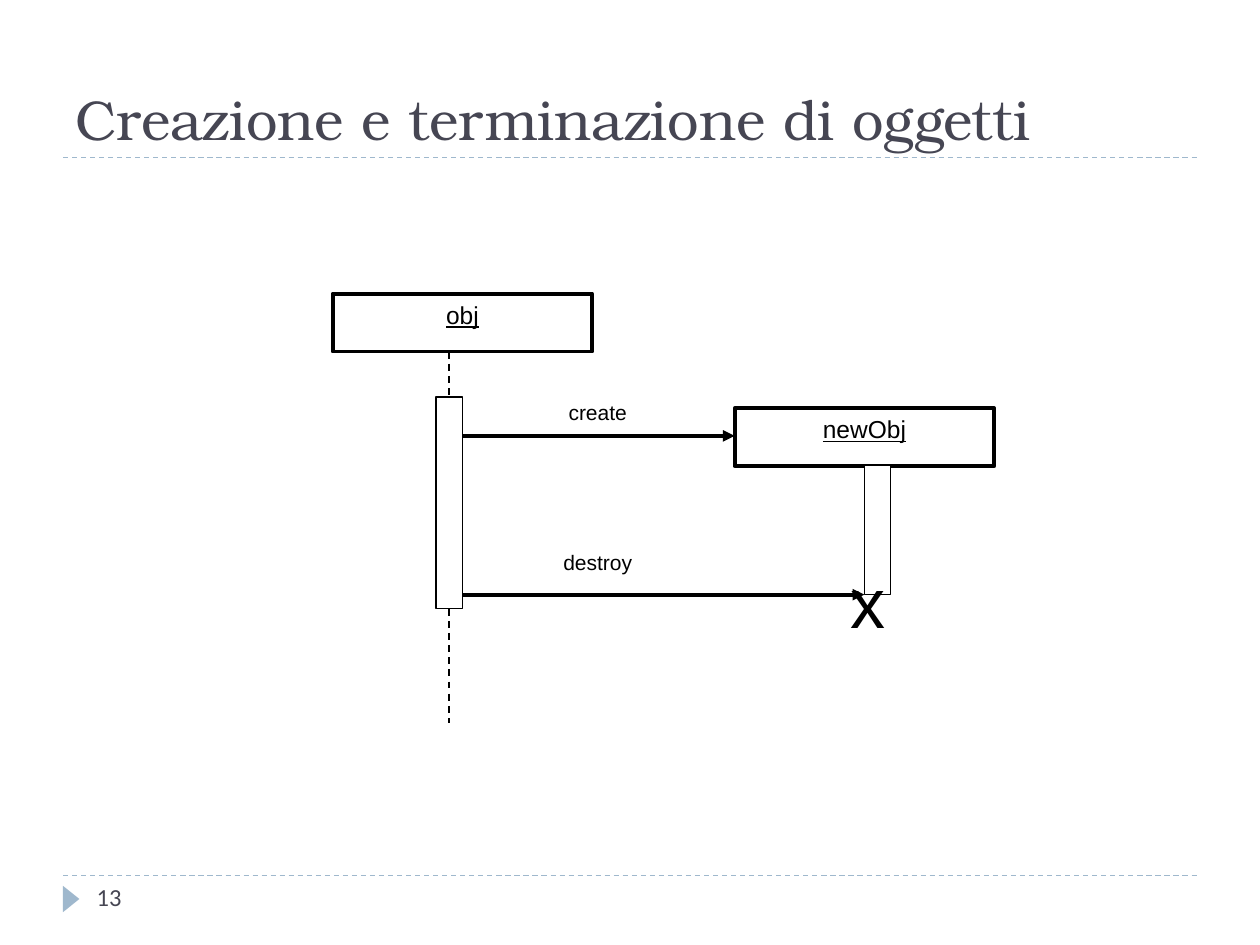
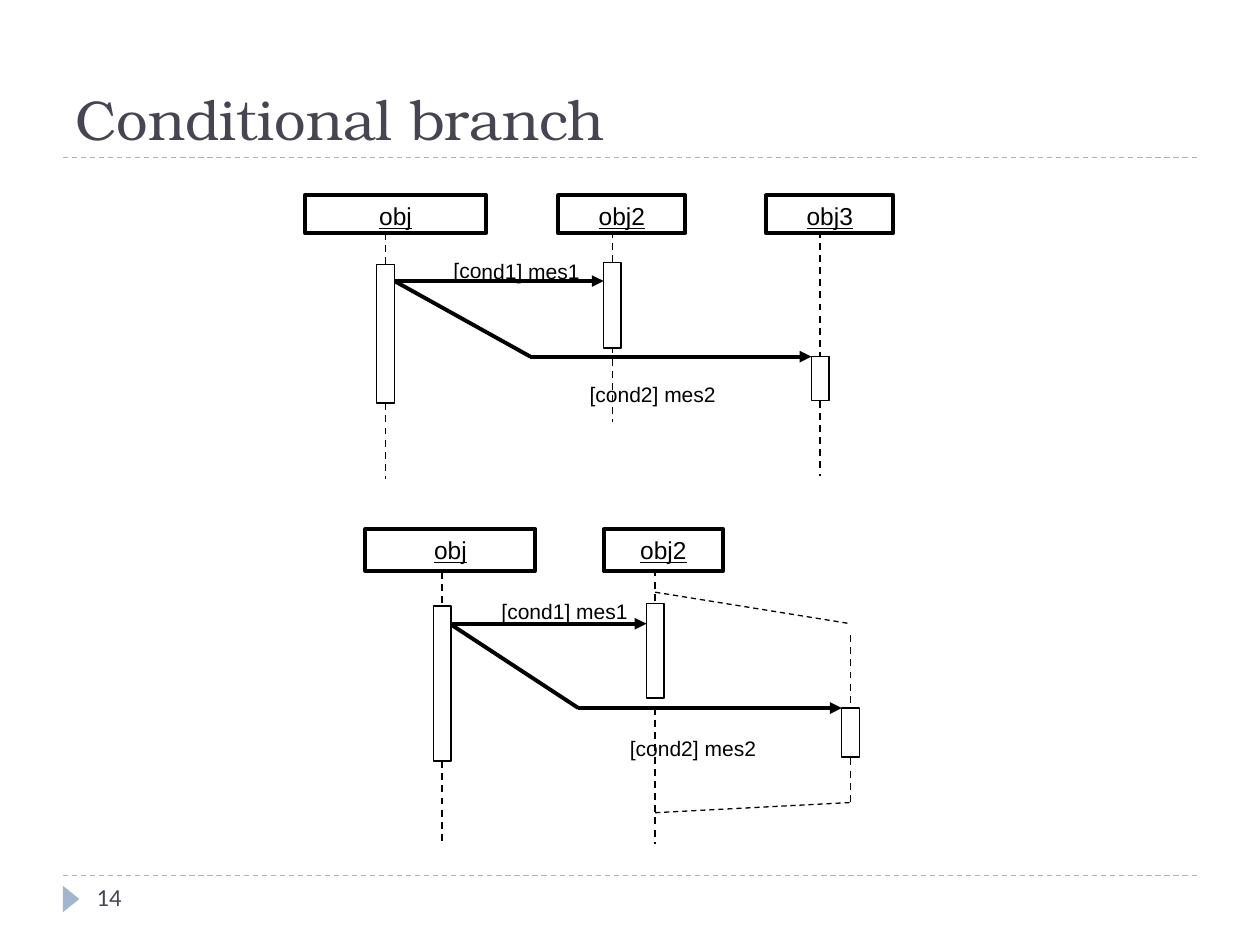
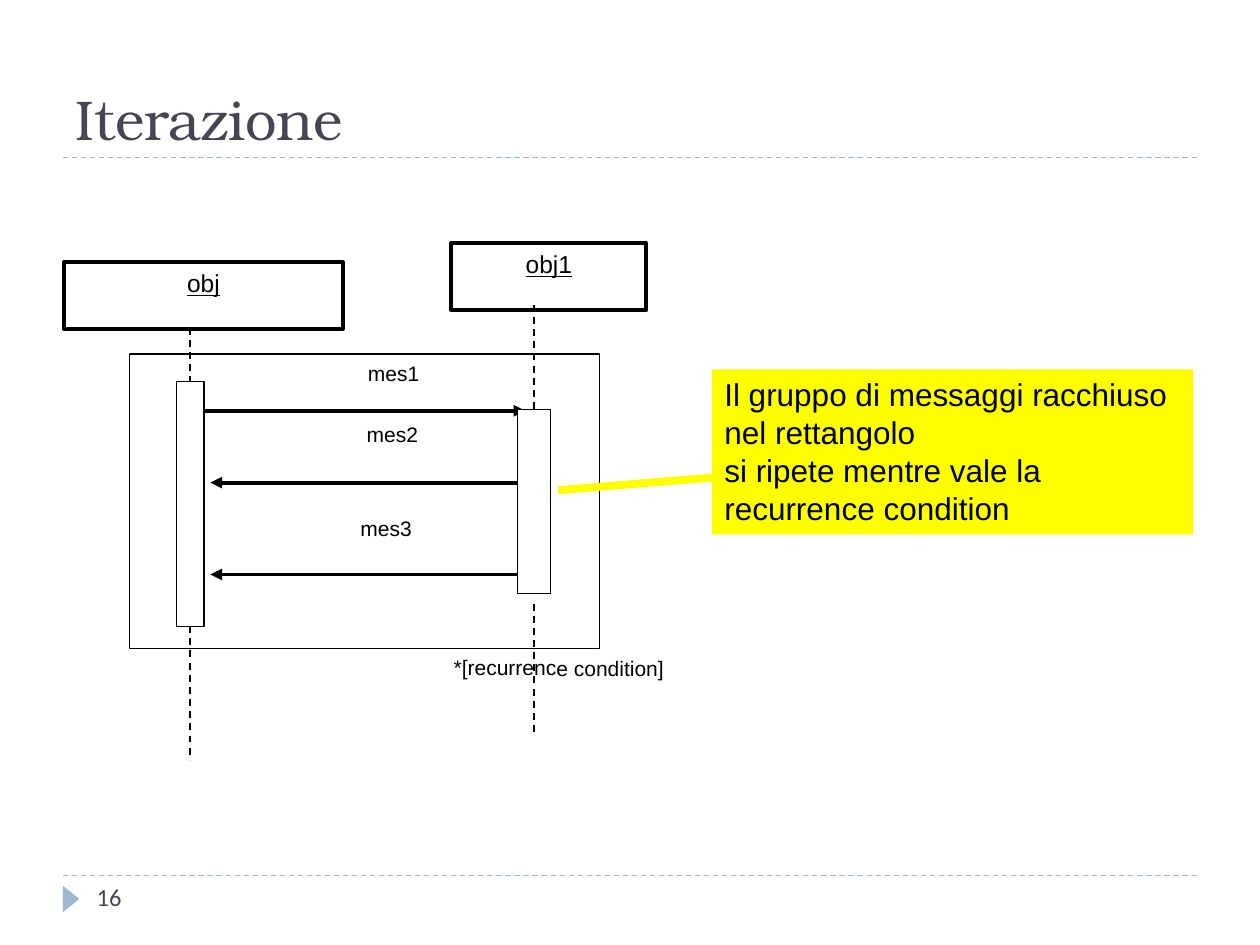
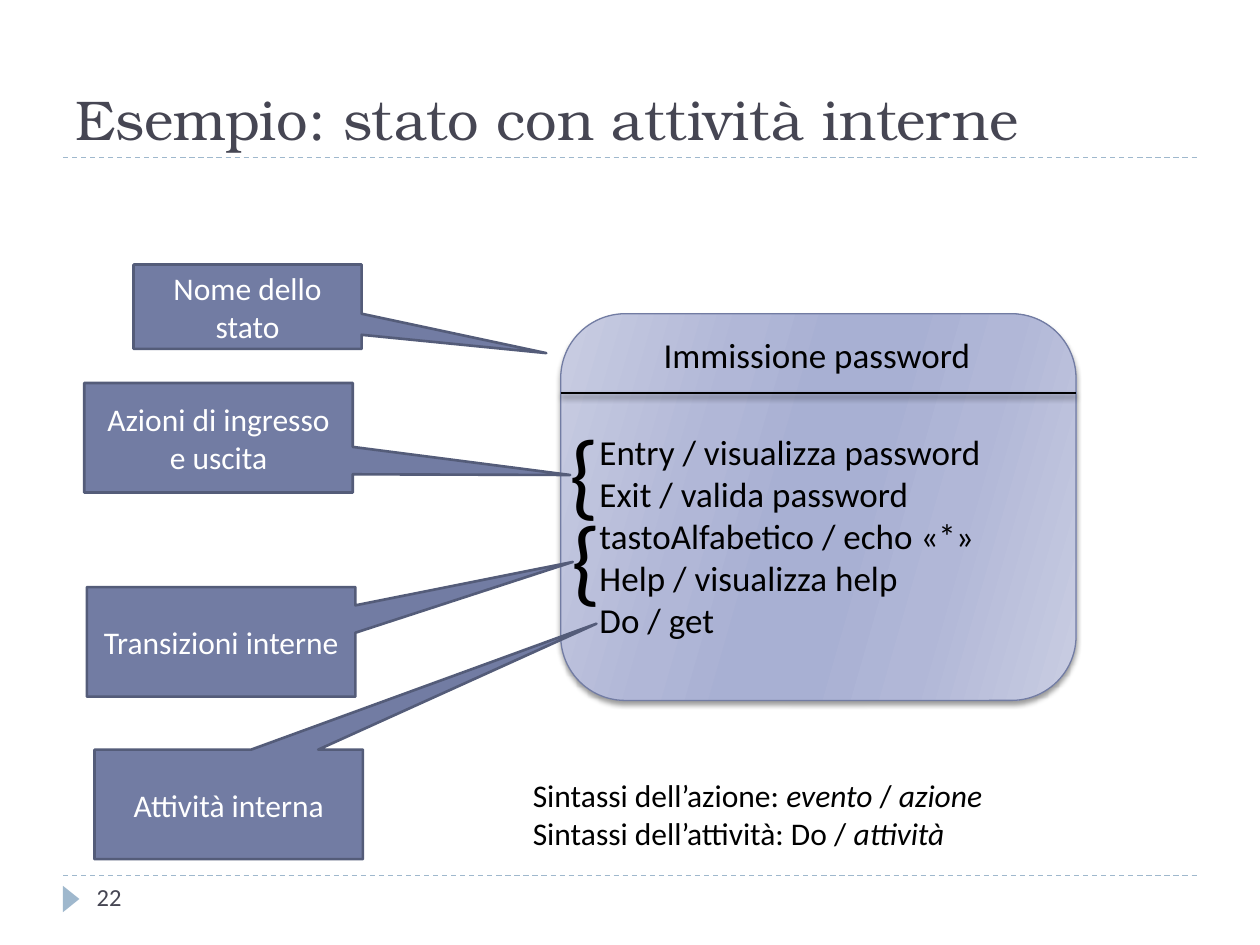
from lxml import etree
from pptx import Presentation
from pptx.dml.color import RGBColor
from pptx.enum.dml import MSO_LINE
from pptx.enum.shapes import MSO_CONNECTOR, MSO_SHAPE
from pptx.enum.text import MSO_ANCHOR, PP_ALIGN
from pptx.oxml.ns import qn
from pptx.util import Pt

INK = RGBColor(0x46, 0x46, 0x53)
BAND = RGBColor(0x9F, 0xB8, 0xCD)
BLACK = RGBColor(0, 0, 0)
WHITE = RGBColor(0xFF, 0xFF, 0xFF)
YELLOW = RGBColor(0xFF, 0xFF, 0)
SLATE = RGBColor(0x72, 0x7C, 0xA3)
SLATE_DARK = RGBColor(0x54, 0x5C, 0x79)
STATE_STOPS = [(0, "C9CDE2"), (30, "B1B7D7"), (45, "A8B0D3"),
               (55, "A8B0D3"), (73, "B1B7D7"), (100, "C9CDE2")]
SERIF, SANS, BODY = "TeX Gyre Bonum", "Arial", "Calibri"

# participants: name, box, activation bar, (lifeline start, resume, end)
# messages: points of the path; labels: text, left, top, width
CREATION = {
    "participants": [
        ("obj", (190.1, 167.8, 148.3, 33.1), (249.1, 226.8, 15.1, 121), (200.9, 347.8, 413.3)),
        ("newObj", (419.8, 233.3, 148.3, 33.1), (493.9, 265.7, 15.1, 74.2), None),
    ],
    "messages": [
        [(264.2, 249.1), (419.8, 249.1)],
        [(264.2, 339.8), (493.9, 339.8)],
    ],
    "labels": [("create", 249.1, 224.6, 185), ("destroy", 249.1, 310.3, 185)],
}
BRANCH = {
    "participants": [
        ("obj", (174.2, 111.6, 103.7, 21.6), (215.3, 151.2, 10.1, 79.2), (133.2, 230.4, 273.6)),
        ("obj2", (319, 111.6, 72.7, 21.6), (344.9, 149.8, 10.1, 49), (131.8, 198, 241.2)),
        ("obj3", (437.8, 111.6, 72.7, 21.6), (463.7, 203.8, 10.1, 25.2), (131.8, 229, 272.2)),
    ],
    "messages": [
        [(225.4, 160.6), (344.9, 160.6)],
        [(225.4, 160.6), (303.1, 203.8), (463.7, 203.8)],
    ],
    "labels": [("[cond1] mes1", 246.2, 144, 97.9), ("[cond2] mes2", 324, 214.6, 97.9)],
}
SPLIT_LIFELINE = {
    "participants": [
        ("obj", (208.8, 302.4, 97.2, 23.8), (247.7, 346.3, 10.1, 88.6), (326.9, 434.9, 482.4)),
        ("obj2", (344.9, 302.4, 68.4, 23.8), (369.4, 344.9, 10.1, 54), (325.4, 404.6, 482.4)),
        (None, None, (481, 404.6, 10.1, 28.1), (362.9, 433.4, 458.6)),
    ],
    "messages": [
        [(257, 356.4), (369.4, 356.4)],
        [(257, 356.4), (330.5, 404.6), (481, 404.6)],
    ],
    "labels": [("[cond1] mes1", 276.5, 338.4, 92.2), ("[cond2] mes2", 349.9, 416.9, 92.2)],
}
SPLIT_LINES = [((374.4, 338.4), (486, 356.4)), ((374.4, 464.4), (486, 458.6))]
ITERATION = {
    "participants": [
        ("obj", (36.7, 149.8, 159.1, 38.2), (100.8, 218.2, 15.8, 139.7), (187.2, 357.8, 434.2)),
        ("obj1", (257.8, 139, 111.6, 38.2), (295.9, 234, 18.7, 105.1), (174.2, 344.9, 420.5)),
    ],
    "messages": [
        [(116.6, 234.7), (300.2, 234.7)],
        [(295.9, 275.8), (120.2, 275.8)],
        [(295.9, 328.3), (120.2, 328.3)],
    ],
    "labels": [
        ("mes1", 149, 202.3, 151.9),
        ("mes2", 148.3, 237.6, 151.9),
        ("mes3", 144.7, 290.9, 151.9),
        ("*[recurrence condition]", 185, 370.8, 268.6),
    ],
}
LOOP_FRAME = (74.2, 202.3, 268.6, 168.5)
LOOP_NOTE = ["Il gruppo di messaggi racchiuso", "nel rettangolo",
             "si ripete mentre vale la", "recurrence condition"]

STATE_BOX = (320.4, 179.3, 294.5, 221)
STATE_RULE_Y = 224.6
STATE_TEXTS = [
    (["Immissione password"], (372.2, 187.2, 191.5, 31.7), 20),
    (["Entry / visualizza password", "Exit / valida password",
      "tastoAlfabetico / echo «*»", "Help / visualizza help", "Do / get"],
     (335.5, 242.6, 236, 128.2), 20),
    (["{"], (318.2, 233.3, 31.7, 72.7), 54),
    (["{"], (319.7, 282.2, 31.7, 72.7), 54),
    ([[("Sintassi dell’azione: ", False), ("evento ", True), ("/", False), (" azione", True)],
      [("Sintassi dell’attività: Do / ", False), ("attività", True)]],
     (297.4, 439.9, 275.8, 72.7), 18),
]
CALLOUTS = [
    ("Nome dello stato", (76.3, 151.2, 130.3, 48.2), (1.31, 0.55)),
    ("Azioni di ingresso e uscita", (48.2, 218.9, 153.4, 62.6), (1.31, 0.34)),
    ("Transizioni interne", (49.7, 335.5, 153.4, 62.6), (1.31, -0.73)),
    ("Attività interna", (54, 428.4, 153.4, 62.6), (1.37, -1.65)),
]


def write(sp, paragraphs, size, font, color=BLACK, align=PP_ALIGN.LEFT,
          anchor=MSO_ANCHOR.TOP, underline=None):
    tf = sp.text_frame
    tf.word_wrap = True
    tf.vertical_anchor = anchor
    for i, runs in enumerate(paragraphs):
        p = tf.paragraphs[0] if i == 0 else tf.add_paragraph()
        p.alignment = align
        for text, italic in [(runs, None)] if isinstance(runs, str) else runs:
            r = p.add_run()
            r.text = text
            r.font.name, r.font.size = font, Pt(size)
            r.font.color.rgb = color
            r.font.italic, r.font.underline = italic, underline


def add_text(s, box, paragraphs, size, font, **style):
    sp = s.shapes.add_textbox(*map(Pt, box))
    write(sp, paragraphs, size, font, **style)
    return sp


def add_box(s, box, fill=None, line=None, width=0.75, kind=MSO_SHAPE.RECTANGLE):
    sp = s.shapes.add_shape(kind, *map(Pt, box))
    sp.shadow.inherit = False
    if fill is None:
        sp.fill.background()
    else:
        sp.fill.solid()
        sp.fill.fore_color.rgb = fill
    if line is None:
        sp.line.fill.background()
    else:
        sp.line.color.rgb = line
        sp.line.width = Pt(width)
    return sp


def add_line(s, start, end, color=BLACK, width=1, dash=False, arrow=False):
    cx = s.shapes.add_connector(MSO_CONNECTOR.STRAIGHT, *map(Pt, start + end))
    cx.line.color.rgb = color
    cx.line.width = Pt(width)
    if dash:
        cx.line.dash_style = MSO_LINE.DASH
    spPr = cx._element.spPr
    if arrow:
        etree.SubElement(spPr.find(qn("a:ln")), qn("a:tailEnd"), type="triangle")
    etree.SubElement(spPr, qn("a:effectLst"))
    return cx


def add_shadow(sp):
    effects = sp._element.spPr.find(qn("a:effectLst"))
    shadow = etree.SubElement(effects, qn("a:outerShdw"), blurRad=str(Pt(3)),
                              dist=str(Pt(2)), dir="5400000", rotWithShape="0")
    color = etree.SubElement(shadow, qn("a:srgbClr"), val="000000")
    etree.SubElement(color, qn("a:alpha"), val="40000")


def set_gradient(sp, stops, angle):
    sp.fill.gradient()
    sp.fill.gradient_angle = 360 - angle
    gs_list = next(sp._element.spPr.iter(qn("a:gsLst")))
    for gs in list(gs_list):
        gs_list.remove(gs)
    for pos, color in stops:
        gs = etree.SubElement(gs_list, qn("a:gs"), pos=str(pos * 1000))
        etree.SubElement(gs, qn("a:srgbClr"), val=color)


def add_slide(prs, title, number):
    s = prs.slides.add_slide(prs.slide_layouts[6])
    for y in (500.4, 90):
        add_line(s, (36, y), (684, y), BAND, 0.75, dash=True)
    marker = add_box(s, (33.1, 509, 15.1, 9.4), BAND, kind=MSO_SHAPE.ISOSCELES_TRIANGLE)
    marker.rotation = 90
    add_text(s, (36, 18, 648, 72), [title], 32, SERIF, color=INK, anchor=MSO_ANCHOR.BOTTOM)
    add_text(s, (48.2, 500.4, 156.2, 28.8), [str(number)], 14, BODY, color=INK)
    return s


def add_sequence(s, diagram):
    for points in diagram["messages"]:
        for start, end in zip(points, points[1:]):
            add_line(s, start, end, width=2.25, arrow=end == points[-1])
    for name, box, bar, life in diagram["participants"]:
        if name:
            sp = add_box(s, box, line=BLACK, width=2.25)
            write(sp, [name], 14, SANS, align=PP_ALIGN.CENTER, underline=True)
        add_box(s, bar, WHITE, BLACK)
        if life:
            x = bar[0] + bar[2] / 2
            start, resume, end = life
            add_line(s, (x, start), (x, bar[1]), dash=True)
            add_line(s, (x, resume), (x, end), dash=True)
    for text, x, y, w in diagram["labels"]:
        label = add_text(s, (x, y, w, 21.6), [text], 12, SANS, align=PP_ALIGN.CENTER)
        label.rotation = 0.2


def add_state(s):
    state = add_box(s, STATE_BOX, WHITE, SLATE, kind=MSO_SHAPE.ROUNDED_RECTANGLE)
    set_gradient(state, STATE_STOPS, 16)
    x, _, w, _ = STATE_BOX
    rule = add_line(s, (x, STATE_RULE_Y), (x + w, STATE_RULE_Y), width=1.5)
    for sp in (state, rule):
        add_shadow(sp)
    for paragraphs, box, size in STATE_TEXTS:
        add_text(s, box, paragraphs, size, BODY)
    for text, box, tip in CALLOUTS:
        sp = add_box(s, box, SLATE, SLATE_DARK, 1.5, MSO_SHAPE.RECTANGULAR_CALLOUT)
        sp.adjustments[0], sp.adjustments[1] = tip
        write(sp, [text], 18, BODY, WHITE, PP_ALIGN.CENTER, MSO_ANCHOR.MIDDLE)


def main():
    prs = Presentation()
    prs.slide_width, prs.slide_height = Pt(720), Pt(540)

    s = add_slide(prs, "Creazione e terminazione di oggetti", 13)
    add_sequence(s, CREATION)
    add_text(s, (478.8, 315.4, 42.5, 75.6), ["x"], 40, SANS)

    s = add_slide(prs, "Conditional branch", 14)
    add_sequence(s, BRANCH)
    add_sequence(s, SPLIT_LIFELINE)
    for start, end in SPLIT_LINES:
        add_line(s, start, end, width=0.75, dash=True)

    s = add_slide(prs, "Iterazione", 16)
    add_sequence(s, ITERATION)
    add_box(s, LOOP_FRAME, line=BLACK)
    note = add_box(s, (406.8, 211, 275, 94.3), YELLOW)
    write(note, LOOP_NOTE, 18, SANS)
    add_line(s, (319, 280.1), (406.8, 272.9), YELLOW, 4.5)

    s = add_slide(prs, "Esempio: stato con attività interne", 22)
    add_state(s)

    prs.save("out.pptx")


if __name__ == "__main__":
    main()
